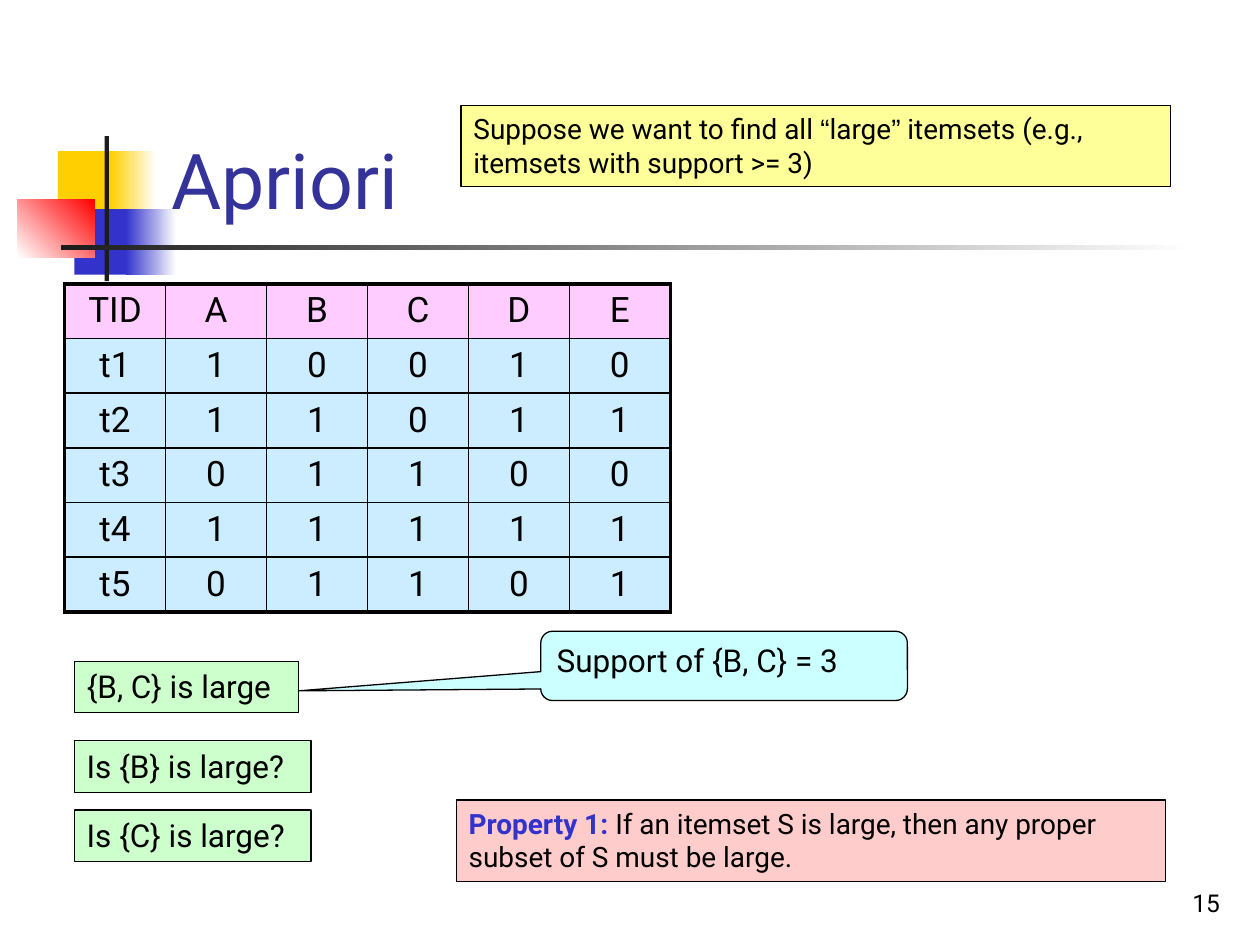
from pptx import Presentation
from pptx.dml.color import RGBColor
from pptx.enum.shapes import MSO_SHAPE as Preset
from pptx.enum.text import MSO_ANCHOR as Anchor, MSO_AUTO_SIZE as AutoSize, PP_ALIGN as Align
from pptx.oxml.ns import qn
from pptx.util import Pt
from lxml.etree import SubElement

BLACK, WHITE, INK = "000000", "FFFFFF", "1C1C1C"
GOLD, BLUE, RED, NAVY = "FFCF01", "3333CC", "FF0000", "333399"
GREEN, YELLOW, PINK, AQUA = "CCFFCC", "FFFF99", "FFCCCC", "CCFFFF"


def color(code):
    return RGBColor.from_string(code)


class SlideBuilder:
    font = "Roboto"
    quote_font = "Arial"
    thin, thick = 1, 2.25
    header_fill, body_fill = "FFCCFF", "CCECFF"

    def __init__(self, page):
        self.page = page

    def add_spans(self, frame, spans, size, align=Align.LEFT):
        para = frame.paragraphs[0]
        para.alignment = align
        for text, code, bold in spans:
            span = para.add_run()
            span.text = text
            span.font.name = self.quote_font if text in "“”" else self.font
            span.font.size = Pt(size)
            span.font.bold = bold
            span.font.color.rgb = color(code)

    def block(self, left, top, width, height, *fills, angle=0, preset=Preset.RECTANGLE):
        shape = self.page.shapes.add_shape(preset, Pt(left), Pt(top), Pt(width), Pt(height))
        shape.shadow.inherit = False
        shape.line.fill.background()
        if len(fills) == 1:
            shape.fill.solid()
            shape.fill.fore_color.rgb = color(fills[0])
        else:
            shape.fill.gradient()
            shape.fill.gradient_angle = angle
            for stop, code in zip(shape.fill.gradient_stops, fills):
                stop.color.rgb = color(code)
        return shape

    def note(self, left, top, width, height, fill, spans, size, wrap=True,
             grow=True, preset=Preset.RECTANGLE):
        shape = self.block(left, top, width, height, fill, preset=preset)
        shape.line.color.rgb = color(BLACK)
        shape.line.width = Pt(0.75)
        frame = shape.text_frame
        frame.word_wrap = wrap
        frame.vertical_anchor = Anchor.TOP
        frame.auto_size = AutoSize.SHAPE_TO_FIT_TEXT if grow else AutoSize.NONE
        self.add_spans(frame, spans, size)
        return shape

    def label(self, left, top, width, height, text, size, code, align=Align.LEFT):
        box = self.page.shapes.add_textbox(Pt(left), Pt(top), Pt(width), Pt(height))
        box.text_frame.word_wrap = True
        box.text_frame.vertical_anchor = Anchor.BOTTOM
        self.add_spans(box.text_frame, [(text, code, False)], size, align)

    def border(self, cell, side, width):
        line = SubElement(cell._tc.get_or_add_tcPr(), qn(f"a:{side}"), w=str(Pt(width)))
        fill = SubElement(line, qn("a:solidFill"))
        SubElement(fill, qn("a:srgbClr"), val=BLACK)

    def table(self, left, top, column_width, row_height, rows):
        last_row, last_column = len(rows) - 1, len(rows[0]) - 1
        table = self.page.shapes.add_table(
            len(rows), len(rows[0]), Pt(left), Pt(top),
            Pt(column_width * len(rows[0])), Pt(row_height * len(rows))).table
        table.first_row = table.horz_banding = False
        for column in table.columns:
            column.width = Pt(column_width)
        for r, values in enumerate(rows):
            table.rows[r].height = Pt(row_height)
            for c, value in enumerate(values):
                cell = table.cell(r, c)
                edges = {"lnL": c == 0, "lnR": c == last_column,
                         "lnT": r == 0, "lnB": r == last_row}
                for side, outer in edges.items():
                    self.border(cell, side, self.thick if outer else self.thin)
                cell.fill.solid()
                cell.fill.fore_color.rgb = color(self.body_fill if r else self.header_fill)
                self.add_spans(cell.text_frame, [(value, BLACK, False)], 20, Align.CENTER)


def main():
    deck = Presentation()
    deck.slide_width, deck.slide_height = Pt(720), Pt(540)
    slide = SlideBuilder(deck.slides.add_slide(deck.slide_layouts[6]))

    slide.block(33.1, 86.4, 34.6, 37.4, GOLD)
    slide.block(63.4, 86.4, 25.9, 37.4, GOLD, WHITE)
    slide.block(42.5, 119.5, 33.1, 37.4, BLUE)
    slide.block(72, 119.5, 28.8, 37.4, BLUE, WHITE)
    slide.block(10.1, 113.8, 43.9, 33.1, WHITE, RED, angle=45)
    slide.block(59.8, 77.8, 2.5, 82.8, INK)
    slide.block(34.6, 140.2, 648, 2.5, INK, WHITE)

    slide.label(554.4, 491.8, 149.8, 36, "15", 14, BLACK, Align.RIGHT)
    slide.label(90.7, 16.6, 613.4, 115.2, "Apriori", 44, NAVY)

    transactions = ["10010", "11011", "01100", "11111", "01101"]
    rows = [["TID", *"ABCDE"]]
    rows += [[f"t{number}", *items] for number, items in enumerate(transactions, 1)]
    slide.table(36.9, 162.2, 57.7, 30.8, rows)

    slide.note(263.5, 60.3, 405.4, 46.5, YELLOW, [
        ("Suppose we want to find all ", BLACK, False),
        ("“", BLACK, False),
        ("large", BLACK, False),
        ("”", BLACK, False),
        (" itemsets (e.g., itemsets with support >= 3)", BLACK, False)], 16)

    questions = [("{B, C} is large", 377.8, 128.2),
                 ("Is {B} is large?", 423.2, 135.2),
                 ("Is {C} is large?", 462.8, 135.2)]
    for text, top, width in questions:
        slide.note(42.5, top, width, 29.5, GREEN, [(text, BLACK, False)], 18, wrap=False)

    callout = slide.note(309, 360.7, 209.5, 39.6, AQUA,
                         [("Support of {B, C} = 3", BLACK, False)], 18,
                         grow=False, preset=Preset.ROUNDED_RECTANGULAR_CALLOUT)
    for index, value in enumerate([-1.16, 0.36, 0.17]):
        callout.adjustments[index] = value

    slide.note(260.8, 457.2, 405.4, 46.5, PINK, [
        ("Property 1: ", BLUE, True),
        ("If an itemset S is large, then any proper subset of S must be large.",
         BLACK, False)], 16)

    deck.save("out.pptx")


if __name__ == "__main__":
    main()
